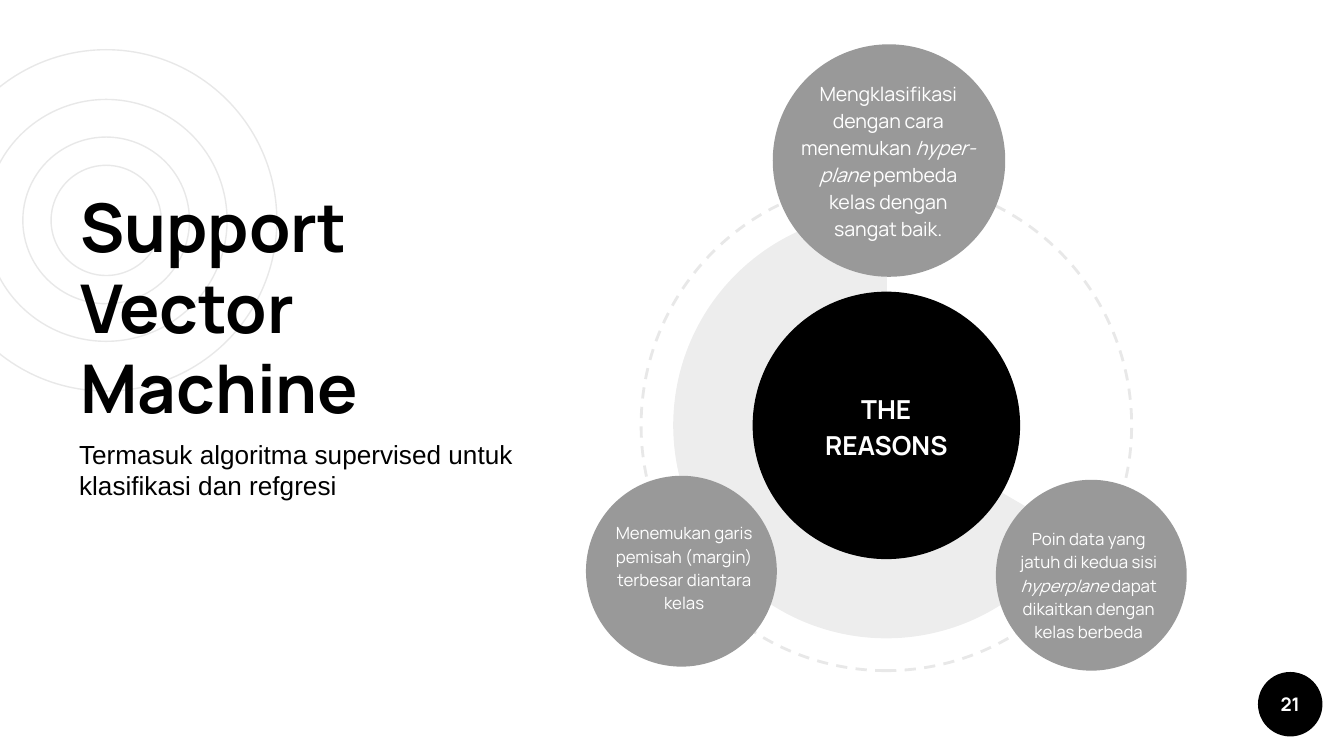
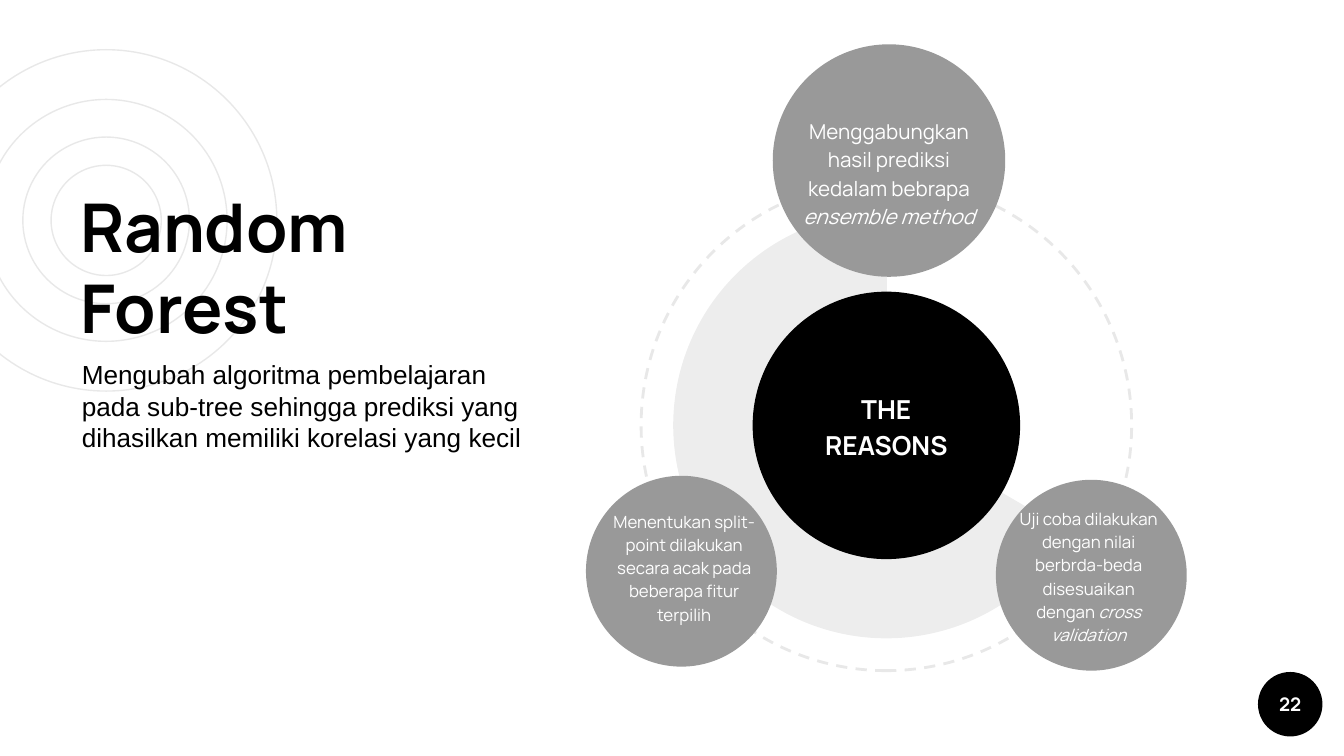
from lxml import etree
from pptx import Presentation
from pptx.dml.color import RGBColor
from pptx.enum import dml, shapes, text
from pptx.oxml.ns import qn
from pptx.util import Inches, Pt

COLORS = {"ink": "000000", "paper": "FFFFFF", "bubble": "999999", "ring": "E8E8E8"}
HEADING, BODY = "Manrope", "Arial"

# Left, top, diameter
TARGET_RINGS = [(-0.48, 0.37, 2.54), (0.17, 1.02, 1.24),
                (-0.11, 0.74, 1.8), (0.38, 1.23, 0.82)]
ORBIT = (4.77, 1.34, 3.65)
SECTOR = (5.01, 1.58, 3.17)
HUB = (5.6, 2.17, 1.99)
BUBBLES = [(5.75, 0.33, 1.73), (4.36, 3.54, 1.42), (7.41, 3.57, 1.42)]
BADGE = (9.36, 5, 0.48)

# Each reason: label box, text size, runs as (text, italic)
TOPICS = [
    {
        "page": "21",
        "title": "Support Vector Machine",
        "title_height": 2.05,
        "summary": "Termasuk algoritma supervised untuk klasifikasi dan refgresi",
        "summary_box": (0.49, 3.21, 3.54, 0.57),
        "reasons": [
            ((5.83, 0.46, 1.56, 1.46), 10.5,
             [("Mengklasifikasi dengan cara menemukan ", False),
              ("hyper-plane ", True),
              ("pembeda kelas dengan sangat baik.", False)]),
            ((4.45, 3.69, 1.28, 1.05), 9,
             [("Menemukan garis pemisah (margin) terbesar diantara kelas", False)]),
            ((7.46, 3.82, 1.28, 1.05), 9,
             [("Poin data yang jatuh di kedua sisi ", False),
              ("hyperplane ", True),
              ("dapat dikaitkan dengan kelas berbeda", False)]),
        ],
    },
    {
        "page": "22",
        "title": "Random Forest",
        "title_height": 1.44,
        "summary": "Mengubah algoritma pembelajaran pada sub-tree sehingga "
                   "prediksi yang dihasilkan memiliki korelasi yang kecil",
        "summary_box": (0.51, 2.62, 3.69, 0.81),
        "reasons": [
            ((5.82, 0.55, 1.59, 1.46), 11,
             [("Menggabungkan hasil prediksi kedalam bebrapa ", False),
              ("ensemble method", True)]),
            ((4.45, 3.69, 1.28, 1.05), 9,
             [("Menentukan split-point dilakukan secara acak pada "
               "beberapa fitur terpilih", False)]),
            ((7.46, 3.69, 1.28, 1.18), 9,
             [("Uji coba dilakukan dengan nilai berbrda-beda disesuaikan dengan ", False),
              ("cross validation", True)]),
        ],
    },
]


def rgb(name):
    return RGBColor.from_string(COLORS[name])


def add_round(page, place, fill=None, line=None, width=0.75,
              kind=shapes.MSO_SHAPE.OVAL):
    """Add a shape of equal width and height; place is left, top, diameter."""
    left, top, size = map(Inches, place)
    shape = page.shapes.add_shape(kind, left, top, size, size)
    shape.shadow.inherit = False
    if fill:
        shape.fill.solid()
        shape.fill.fore_color.rgb = rgb(fill)
    else:
        shape.fill.background()
    if line:
        shape.line.color.rgb = rgb(line)
        shape.line.width = Pt(width)
    else:
        shape.line.fill.background()
    return shape


def set_opacity(shape, percent):
    color = shape.fill._xPr.find(qn("a:solidFill"))[0]
    etree.SubElement(color, qn("a:alpha"), val=str(percent * 1000))


def add_text(page, place, paragraphs, size, font=HEADING, color="ink", bold=False,
             centered=False, spacing=None, inset=0.1):
    """Add a text box; each paragraph is a list of (text, italic) runs."""
    box = page.shapes.add_textbox(*map(Inches, place))
    frame = box.text_frame
    frame.word_wrap = True
    frame.margin_top = frame.margin_bottom = Inches(inset)
    if centered:
        frame.vertical_anchor = text.MSO_ANCHOR.MIDDLE
    for index, runs in enumerate(paragraphs):
        para = frame.add_paragraph() if index else frame.paragraphs[0]
        para.alignment = text.PP_ALIGN.CENTER if centered else text.PP_ALIGN.LEFT
        if spacing:
            para.line_spacing = spacing
        for words, italic in runs:
            span = para.add_run()
            span.text = words
            span.font.name = font
            span.font.size = Pt(size)
            span.font.bold = bold
            span.font.italic = italic
            span.font.color.rgb = rgb(color)
    return box


def add_base(page, number):
    """Add what every page carries: target rings and the page number badge."""
    for ring in TARGET_RINGS:
        add_round(page, ring, line="ring")
    add_round(page, BADGE, fill="ink")
    add_text(page, (*BADGE, BADGE[2]), [[(number, False)]], 10,
             color="paper", bold=True, centered=True)


def add_wheel(page, reasons):
    """Add the hub with its orbit, shaded sector and three reasons."""
    orbit = add_round(page, ORBIT, line="ring", width=1.5)
    orbit.line.dash_style = dml.MSO_LINE.DASH
    orbit.rotation = 270
    sector = add_round(page, SECTOR, fill="ink", kind=shapes.MSO_SHAPE.PIE)
    sector.adjustments[0] = 18.12
    sector.adjustments[1] = 162.15
    set_opacity(sector, 7)
    add_round(page, HUB, fill="ink")
    add_text(page, (5.86, 2.71, 1.47, 0.9), [[("THE", False)], [("REASONS", False)]],
             14, color="paper", bold=True, centered=True, spacing=1.15)
    for bubble, (place, size, runs) in zip(BUBBLES, reasons):
        add_round(page, bubble, fill="bubble")
        add_text(page, place, [runs], size, color="paper", centered=True, spacing=1.15)


def add_topic(deck, topic):
    page = deck.slides.add_slide(deck.slide_layouts[6])
    add_base(page, topic["page"])
    add_text(page, (0.5, 1.28, 3.28, topic["title_height"]),
             [[(topic["title"], False)]], 36, bold=True)
    add_wheel(page, topic["reasons"])
    add_text(page, topic["summary_box"], [[(topic["summary"], False)]], 14,
             font=BODY, inset=0.05)


def main():
    deck = Presentation()
    deck.slide_width = Inches(10)
    deck.slide_height = deck.slide_width * 9 // 16
    for topic in TOPICS:
        add_topic(deck, topic)
    deck.save("out.pptx")


if __name__ == "__main__":
    main()
